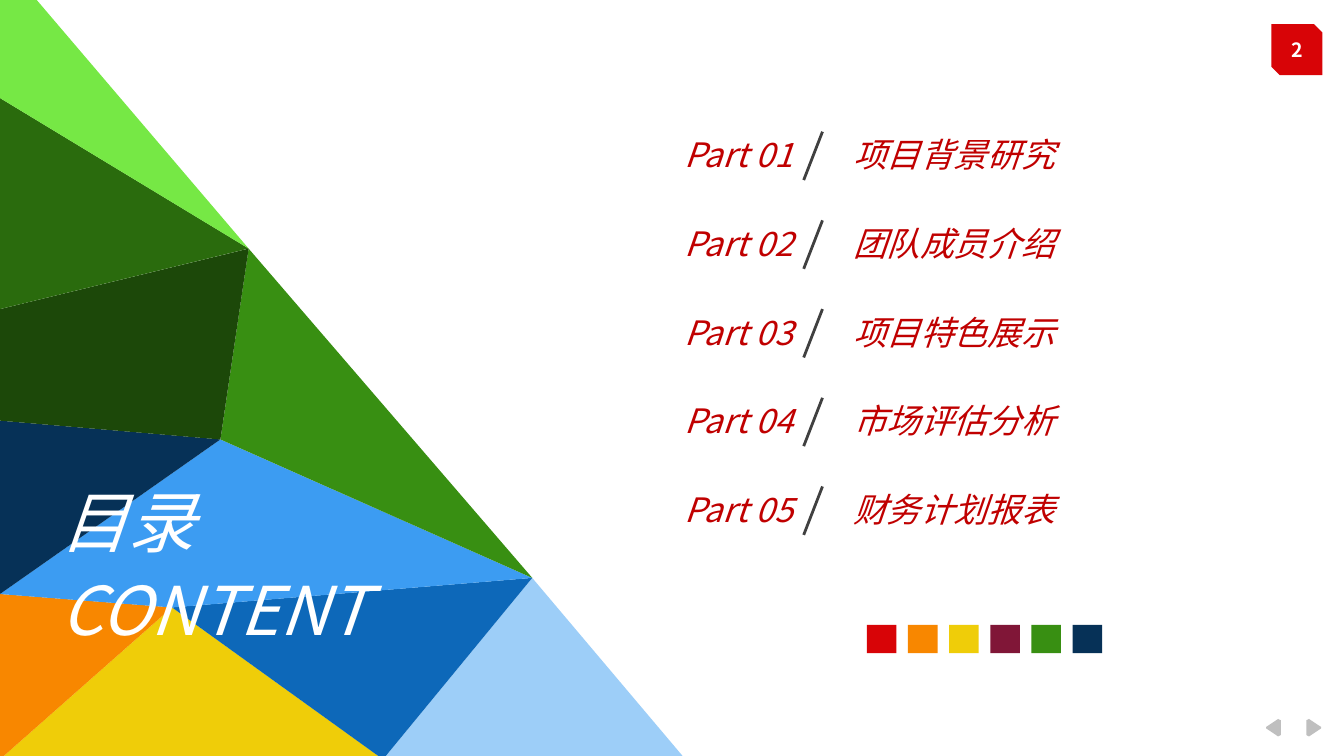
from lxml.etree import SubElement
from pptx import Presentation
from pptx.dml.color import RGBColor
from pptx.enum.shapes import MSO_CONNECTOR, MSO_SHAPE
from pptx.enum.text import MSO_ANCHOR, PP_ALIGN
from pptx.oxml.ns import qn
from pptx.util import Inches, Pt

FONT = "Noto Sans CJK SC"
COLORS = {
    "red": "D80407", "orange": "F88700", "yellow": "EFCD09",
    "wine": "801637", "green": "388F12", "navy": "063157",
    "sky": "9DCEF8", "blue": "0D68B9", "azure": "3C9CF2",
    "forest": "1C4809", "leaf": "2A6B0D", "lime": "76E845",
    "entry": "C00000", "slash": "404040", "arrow": "BFBFBF", "white": "FFFFFF",
}
PARTS = ["项目背景研究", "团队成员介绍", "项目特色展示", "市场评估分析", "财务计划报表"]
PART_TOP, PART_LAST = 0.95, 3.59
PART_PITCH = (PART_LAST - PART_TOP) / (len(PARTS) - 1)
SWATCHES = ["red", "orange", "yellow", "wine", "green", "navy"]
SWATCH_LEFT, SWATCH_LAST = 6.45, 7.98
SWATCH_PITCH = (SWATCH_LAST - SWATCH_LEFT) / (len(SWATCHES) - 1)

RIDGE_TOP, RIDGE_LOW = (1.85, 1.85), (3.96, 4.3)
INNER_TOP, INNER_LOW = (1.64, 3.27), (1.28, 4.52)
EDGE_TOP, EDGE_LEAF, EDGE_FOREST = (0, -0.32), (0, 0.73), (0, 2.3)
EDGE_NAVY, EDGE_ORANGE = (0, 3.13), (0, 4.42)
BASE_LEFT, BASE_MIDDLE, BASE_RIGHT = (0, 5.65), (2.85, 5.65), (5.1, 5.65)
FACETS = [
    ("sky", [BASE_MIDDLE, RIDGE_LOW, BASE_RIGHT]),
    ("yellow", [INNER_LOW, BASE_MIDDLE, BASE_LEFT]),
    ("orange", [INNER_LOW, BASE_LEFT, EDGE_ORANGE]),
    ("blue", [BASE_MIDDLE, INNER_LOW, RIDGE_LOW]),
    ("azure", [RIDGE_LOW, INNER_LOW, EDGE_ORANGE, INNER_TOP]),
    ("green", [RIDGE_LOW, INNER_TOP, RIDGE_TOP]),
    ("navy", [INNER_TOP, EDGE_ORANGE, EDGE_NAVY]),
    ("forest", [INNER_TOP, EDGE_NAVY, EDGE_FOREST, RIDGE_TOP]),
    ("leaf", [RIDGE_TOP, EDGE_FOREST, EDGE_LEAF]),
    ("lime", [RIDGE_TOP, EDGE_LEAF, EDGE_TOP]),
]
NEXT_ARROW = [(9.72, 5.36), (9.74, 5.35), (9.83, 5.41),
              (9.83, 5.42), (9.74, 5.48), (9.72, 5.47)]
ARROW_MIRROR = 19.25


def rgb(color):
    return RGBColor.from_string(COLORS[color])


def paint(shape, color):
    shape.shadow.inherit = False
    shape.fill.solid()
    shape.fill.fore_color.rgb = rgb(color)
    shape.line.fill.background()


def add_polygon(slide, points, color):
    corners = [(Inches(x), Inches(y)) for x, y in points]
    builder = slide.shapes.build_freeform(*corners[0])
    builder.add_line_segments(corners[1:], close=True)
    paint(builder.convert_to_shape(), color)


def add_block(slide, preset, left, top, width, height, color):
    block = slide.shapes.add_shape(
        preset, Inches(left), Inches(top), Inches(width), Inches(height))
    paint(block, color)


def write(frame, text, size, color, align=PP_ALIGN.LEFT,
          wrap=True, bold=False, italic=True):
    frame.text = text
    frame.word_wrap = wrap
    frame.vertical_anchor = MSO_ANCHOR.TOP
    paragraph = frame.paragraphs[0]
    paragraph.alignment = align
    font = paragraph.runs[0].font
    font.size, font.bold, font.italic = Pt(size), bold, italic
    font.color.rgb = rgb(color)
    font.name = FONT
    SubElement(paragraph.runs[0]._r.rPr, qn("a:ea"), typeface=FONT)


def add_label(slide, left, top, width, height, text, size, color, **style):
    label = slide.shapes.add_textbox(
        Inches(left), Inches(top), Inches(width), Inches(height))
    write(label.text_frame, text, size, color, **style)


def add_slash(slide, top):
    slash = slide.shapes.add_connector(
        MSO_CONNECTOR.STRAIGHT, Inches(5.98), Inches(top + 0.36),
        Inches(6.12), Inches(top))
    slash.line.color.rgb = rgb("slash")
    slash.line.width = Pt(1.5)
    SubElement(slash._element.spPr, qn("a:effectLst"))


def add_part(slide, number, name):
    top = PART_TOP + (number - 1) * PART_PITCH
    add_label(slide, 6.25, top, 2.83, 0.4, name, 18, "entry")
    add_label(slide, 4.25, top, 1.75, 0.4, f"Part {number:02d}", 18, "entry",
              align=PP_ALIGN.RIGHT)
    add_slash(slide, top + 0.03)


def place_title(slide):
    title = slide.shapes.title
    title.left, title.top = Inches(0.35), Inches(3.52)
    title.width, title.height = Inches(1.64), Inches(0.71)
    write(title.text_frame, "目录", 36, "white")
    slide.shapes._spTree.append(title._element)


def main():
    deck = Presentation()
    deck.slide_width = Inches(10)
    deck.slide_height = deck.slide_width * 9 // 16
    slide = deck.slides.add_slide(deck.slide_layouts[5])

    previous_arrow = [(ARROW_MIRROR - x, y) for x, y in NEXT_ARROW]
    for arrow in (NEXT_ARROW, previous_arrow):
        add_polygon(slide, arrow, "arrow")
    add_block(slide, MSO_SHAPE.SNIP_2_DIAG_RECTANGLE, 9.46, 0.18, 0.38, 0.38, "red")
    add_label(slide, 9.46, 0.23, 0.38, 0.28, "2", 10.5, "white",
              align=PP_ALIGN.CENTER, wrap=False, bold=True, italic=False)

    for color, points in FACETS:
        add_polygon(slide, points, color)
    for column, color in enumerate(SWATCHES):
        left = SWATCH_LEFT + column * SWATCH_PITCH
        add_block(slide, MSO_SHAPE.RECTANGLE, left, 4.65, 0.22, 0.21, color)
    for number, name in enumerate(PARTS, start=1):
        add_part(slide, number, name)

    add_label(slide, 0.35, 4.18, 3.4, 1.31, "CONTENT", 36, "white")
    place_title(slide)
    deck.save("out.pptx")


if __name__ == "__main__":
    main()
